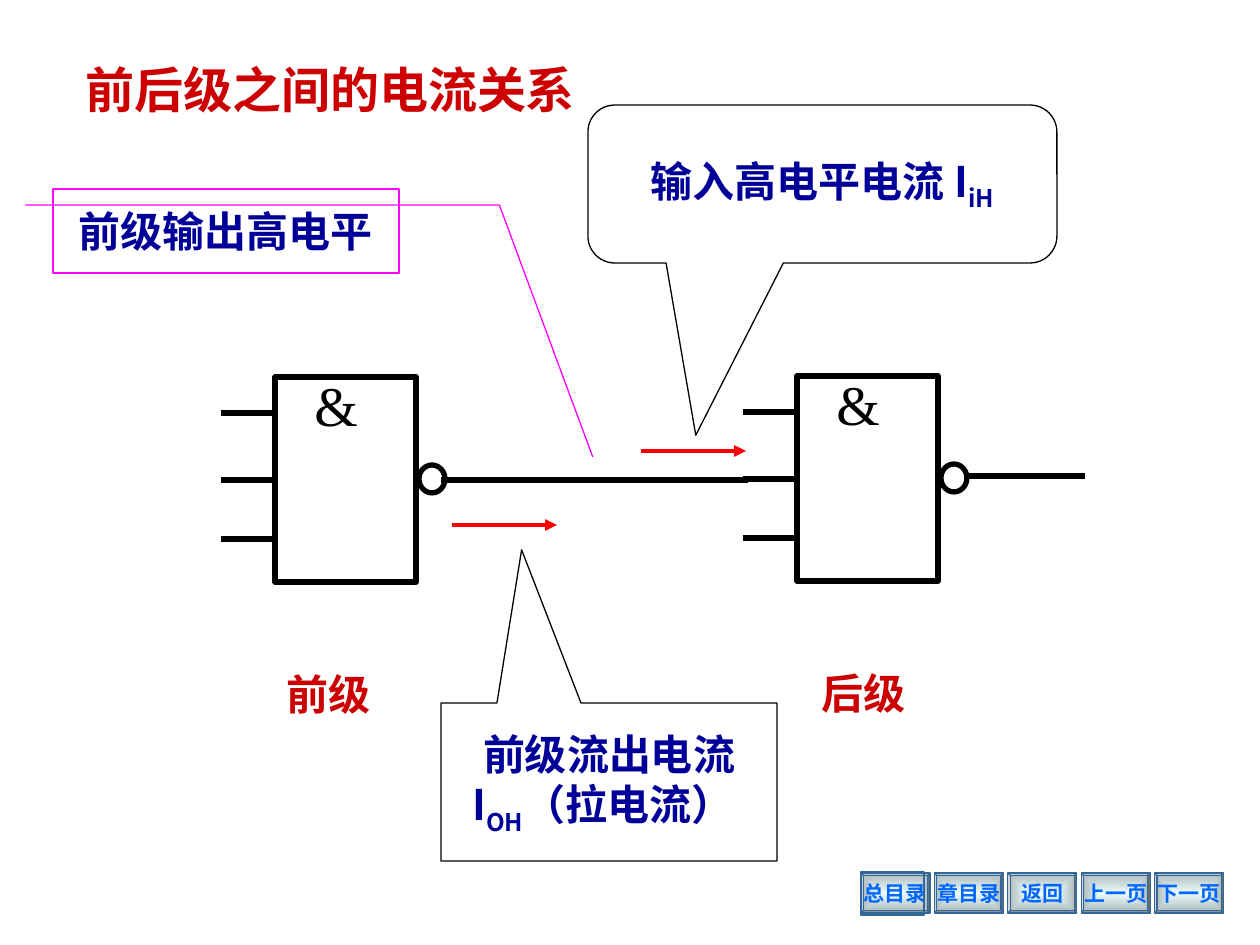
from dataclasses import dataclass

from lxml.etree import SubElement
from pptx import Presentation
from pptx.dml.color import RGBColor
from pptx.enum.shapes import MSO_CONNECTOR, MSO_SHAPE
from pptx.enum.text import MSO_ANCHOR, MSO_AUTO_SIZE, PP_ALIGN
from pptx.oxml.ns import qn
from pptx.util import Emu, Pt


@dataclass(frozen=True)
class Theme:
    serif: str = "Times New Roman"
    sans: str = "Noto Sans CJK SC"
    black: str = "000000"
    heading: str = "CC0000"
    note: str = "000099"
    arrow: str = "FF0000"
    level: str = "FF00FF"
    button_text: str = "0066FF"
    button_line: str = "336699"
    button_fill: tuple = ("ECFDFE", "AAB6B7")
    title_size: int = 28
    gate_size: int = 32
    body_size: int = 24
    button_size: int = 12
    thin: float = 0.75
    medium: float = 2.25
    thick: float = 3


THEME = Theme()


def px(value):
    return Emu(round(value * 914400 / 126))


def color(value):
    return RGBColor.from_string(value)


def format_text(text_frame, size, text_color, font=THEME.serif, bold=True, align=PP_ALIGN.LEFT):
    for paragraph in text_frame.paragraphs:
        paragraph.alignment = align
        for run in paragraph.runs:
            run.font.size = Pt(size)
            run.font.bold = bold
            run.font.name = font
            run.font.color.rgb = color(text_color)
            SubElement(run.font._element, qn("a:ea"), typeface=THEME.sans)


def add_subscript(paragraph, text):
    run = paragraph.add_run()
    run.text = text
    run.font._element.set("baseline", "-25000")


def add_outline(shapes, kind, box, line_color, width, adjustments=()):
    shape = shapes.add_shape(kind, *map(px, box))
    shape.shadow.inherit = False
    shape.fill.background()
    shape.line.color.rgb = color(line_color)
    shape.line.width = Pt(width)
    for index, value in enumerate(adjustments):
        shape.adjustments[index] = value
    shape.text_frame.vertical_anchor = MSO_ANCHOR.MIDDLE
    return shape


def add_line(shapes, left, right, y, line_color=THEME.black, width=THEME.thick, arrow=False):
    connector = shapes.add_connector(MSO_CONNECTOR.STRAIGHT, px(left), px(y), px(right), px(y))
    connector.line.color.rgb = color(line_color)
    connector.line.width = Pt(width)
    if arrow:
        SubElement(connector.line._get_or_add_ln(), qn("a:tailEnd"), type="triangle")
    SubElement(connector._element.spPr, qn("a:effectLst"))


def add_label(shapes, box, text, size, text_color, bold=True):
    label = shapes.add_textbox(*map(px, box))
    label.text_frame.word_wrap = True
    label.text_frame.text = text
    format_text(label.text_frame, size, text_color, bold=bold)


def set_title(slide, box, text):
    title = slide.shapes.title
    title.left, title.top, title.width, title.height = map(px, box)
    title.text_frame.text = text
    title.text_frame.auto_size = MSO_AUTO_SIZE.NONE
    title.text_frame.vertical_anchor = MSO_ANCHOR.TOP
    format_text(title.text_frame, THEME.title_size, THEME.heading)


def add_navigation(shapes, left, top, labels):
    width, height, pitch = 69, 40, 73.4
    for index, text in enumerate(labels):
        box = (left + index * pitch, top, width, height)
        button = add_outline(shapes, MSO_SHAPE.BEVEL, box, THEME.button_line, THEME.thin, (0.06,))
        button.fill.gradient()
        for stop, stop_color in zip(button.fill.gradient_stops, THEME.button_fill):
            stop.color.rgb = color(stop_color)
        # Turn the linear gradient into one that spreads from the centre
        gradient = button._element.spPr.find(qn("a:gradFill"))
        gradient.remove(gradient.find(qn("a:lin")))
        spread = SubElement(gradient, qn("a:path"), path="rect")
        SubElement(spread, qn("a:fillToRect"), l="50000", t="50000", r="50000", b="50000")
        button.text_frame.word_wrap = False
        button.text_frame.text = text
        format_text(button.text_frame, THEME.button_size, THEME.button_text, align=PP_ALIGN.CENTER)
    # Frame around the first button
    add_outline(shapes, MSO_SHAPE.RECTANGLE, (left, top - 1, 63, 43), THEME.button_line, THEME.thin)


def add_gate(slide, left, top, name, name_offset, has_output=False):
    shapes = slide.shapes.add_group_shape().shapes
    # Body and inverting bubble
    for kind, box in ((MSO_SHAPE.RECTANGLE, (left + 54, top + 13, 141, 205)),
                      (MSO_SHAPE.OVAL, (left + 198, top + 101, 26, 28))):
        add_outline(shapes, kind, box, THEME.black, THEME.thick)
    add_label(shapes, (left + 81, top, 101, 81), "&", THEME.gate_size, THEME.black, bold=False)
    # Inputs and output
    for offset in (49, 116, 175):
        add_line(shapes, left, left + 54, top + offset)
    if has_output:
        add_line(shapes, left + 221, left + 342, top + 113)
    add_label(shapes, (left + name_offset, top + 298, 147, 63), name,
              THEME.body_size, THEME.heading)


def add_callout(shapes, kind, box, adjustments, text, subscript="", line_color=THEME.black):
    callout = add_outline(shapes, kind, box, line_color, THEME.thin, adjustments)
    text_frame = callout.text_frame
    text_frame.word_wrap = True
    text_frame.text = text
    if subscript:
        add_subscript(text_frame.paragraphs[0], subscript)
    format_text(text_frame, THEME.body_size, THEME.note, THEME.sans, align=PP_ALIGN.CENTER)
    return callout


def add_source_current(shapes, box):
    callout = add_callout(shapes, MSO_SHAPE.RECTANGULAR_CALLOUT, box, (-0.26, -1.47),
                          "前级流出电流")
    symbol = callout.text_frame.add_paragraph()
    symbol.add_run().text = "I"
    add_subscript(symbol, "OH")
    symbol.add_run().text = "（拉电流）"
    format_text(callout.text_frame, THEME.body_size, THEME.note, THEME.sans)
    callout.text_frame.paragraphs[0].alignment = PP_ALIGN.CENTER
    symbol._p.get_or_add_pPr().set("marL", str(px(19)))


def main():
    presentation = Presentation()
    presentation.slide_width, presentation.slide_height = px(1260), px(945)
    slide = presentation.slides.add_slide(presentation.slide_layouts[5])
    shapes = slide.shapes

    set_title(slide, (73, 53, 935, 72), "前后级之间的电流关系")
    add_navigation(shapes, 861, 873, ("总目录", "章目录", "返回", "上一页", "下一页"))

    # Two gates joined by a wire
    add_line(shapes, 441, 748, 480)
    add_gate(slide, 221, 364, "前级", 53)
    add_gate(slide, 743, 363, "后级", 66, has_output=True)

    # Notes and current arrows
    add_callout(shapes, MSO_SHAPE.LINE_CALLOUT_2, (53, 189, 346, 84),
                (0.19, -0.08, 0.19, 1.29, 3.19, 1.56), "前级输出高电平",
                line_color=THEME.level)
    add_line(shapes, 452, 557, 525, THEME.arrow, THEME.medium, arrow=True)
    add_source_current(shapes, (441, 703, 336, 158))
    add_line(shapes, 641, 746, 451, THEME.arrow, THEME.medium, arrow=True)
    add_callout(shapes, MSO_SHAPE.ROUNDED_RECTANGULAR_CALLOUT, (588, 105, 469, 158),
                (-0.27, 1.59, 0.17), "输入高电平电流 I", "iH")

    presentation.save("out.pptx")


if __name__ == "__main__":
    main()
